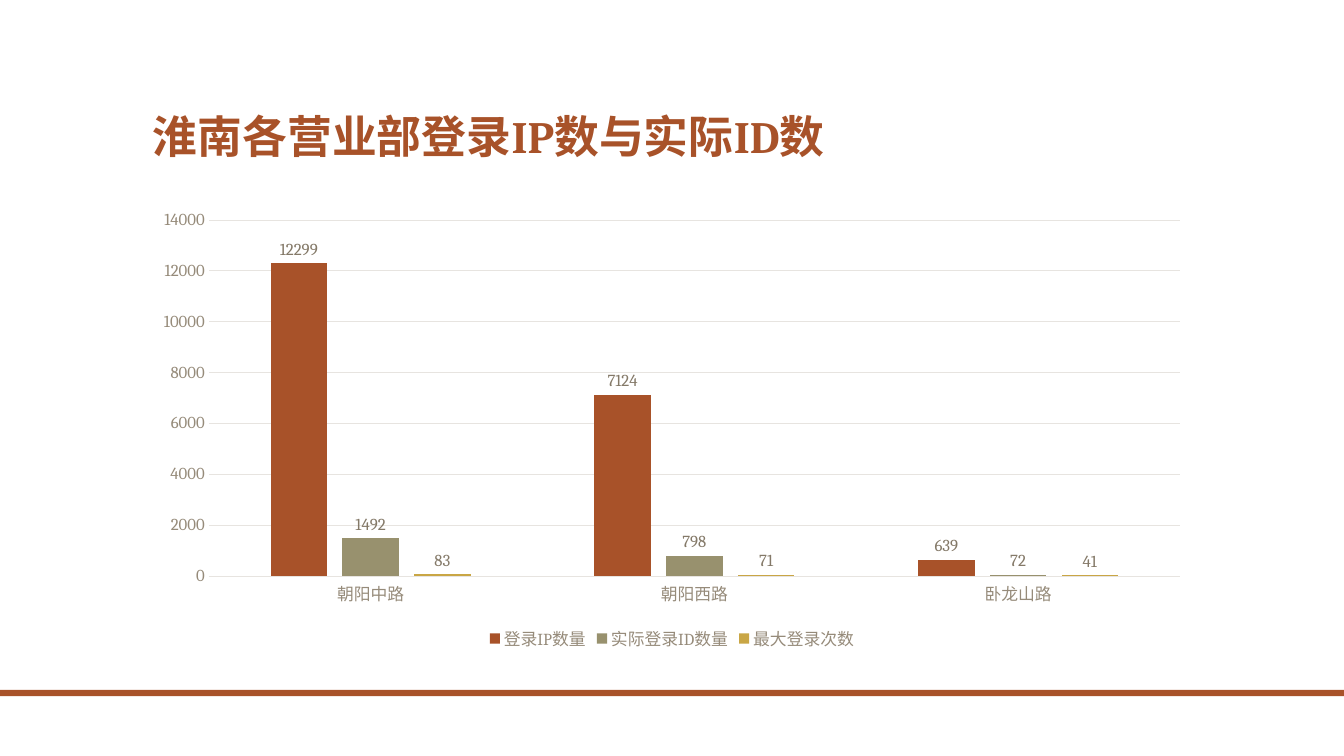
from dataclasses import dataclass

from pptx import Presentation
from pptx.chart.data import CategoryChartData
from pptx.dml.color import RGBColor
from pptx.enum.chart import XL_CHART_TYPE, XL_LABEL_POSITION, XL_LEGEND_POSITION, XL_TICK_MARK
from pptx.enum.shapes import MSO_SHAPE
from pptx.enum.text import MSO_ANCHOR, PP_ALIGN
from pptx.util import Emu, Pt

EMU_PER_PX = 9525  # 96 px to the inch
FONT = "Cambria"
RUST, OLIVE, GOLD = "A85229", "98916E", "C9A645"
AXIS_TEXT, LABEL_TEXT, CHART_TEXT, GRID = "968B7A", "847968", "514A40", "E7E4E0"


@dataclass(frozen=True)
class Box:
    left: int
    top: int
    width: int
    height: int

    def emu(self) -> tuple:
        return tuple(px(n) for n in (self.left, self.top, self.width, self.height))


@dataclass(frozen=True)
class Series:
    name: str
    values: tuple
    color: str


TITLE_BOX = Box(136, 40, 1008, 120)
CHART_BOX = Box(136, 192, 1008, 432)
FOOTER_BAR = Box(0, 657, 1280, 6)
BRANCHES = ("朝阳中路", "朝阳西路", "卧龙山路")
SERIES = (
    Series("登录IP数量", (12299, 7124, 639), RUST),
    Series("实际登录ID数量", (1492, 798, 72), OLIVE),
    Series("最大登录次数", (83, 71, 41), GOLD),
)


def px(length: int) -> Emu:
    return Emu(length * EMU_PER_PX)


def rgb(color: str) -> RGBColor:
    return RGBColor.from_string(color)


def set_font(font, *, size: int, color: str, bold: bool = False) -> None:
    font.name, font.size, font.bold = FONT, Pt(size), bold
    font.color.rgb = rgb(color)


def set_line(line, color: str, width: float = 0.75) -> None:
    line.color.rgb = rgb(color)
    line.width = Pt(width)


def write_text(shape, text: str, *, size: int, color: str, bold: bool = False,
               spacing: float = 1.0) -> None:
    frame = shape.text_frame
    frame.word_wrap = True
    frame.vertical_anchor = MSO_ANCHOR.BOTTOM
    paragraph = frame.paragraphs[0]
    paragraph.alignment = PP_ALIGN.LEFT
    paragraph.line_spacing = spacing
    run = paragraph.add_run()
    run.text = text
    set_font(run.font, size=size, color=color, bold=bold)


def add_bar(slide, box: Box, color: str) -> None:
    shape = slide.shapes.add_shape(MSO_SHAPE.RECTANGLE, *box.emu())
    shape.shadow.inherit = False
    shape.fill.solid()
    shape.fill.fore_color.rgb = rgb(color)
    shape.line.fill.background()


def add_login_chart(slide, box: Box) -> None:
    data = CategoryChartData()
    data.categories = BRANCHES
    for series in SERIES:
        data.add_series(series.name, series.values)
    chart = slide.shapes.add_chart(XL_CHART_TYPE.COLUMN_CLUSTERED, *box.emu(), data).chart
    chart.has_title = False
    set_font(chart.font, size=10, color=CHART_TEXT)

    # Axes and legend
    chart.has_legend = True
    chart.legend.position = XL_LEGEND_POSITION.BOTTOM
    chart.legend.include_in_layout = False
    set_font(chart.legend.font, size=12, color=AXIS_TEXT)
    for axis in (chart.category_axis, chart.value_axis):
        axis.major_tick_mark = axis.minor_tick_mark = XL_TICK_MARK.NONE
        set_font(axis.tick_labels.font, size=12, color=AXIS_TEXT)
    set_line(chart.category_axis.format.line, GRID)
    values = chart.value_axis
    values.minimum_scale, values.maximum_scale, values.major_unit = 0, 14000, 2000
    values.format.line.fill.background()
    values.has_major_gridlines = True
    set_line(values.major_gridlines.format.line, GRID)

    # Columns and their labels
    plot = chart.plots[0]
    plot.gap_width, plot.overlap, plot.vary_by_categories = 219, -27, False
    for column, series in zip(plot.series, SERIES):
        column.format.fill.solid()
        column.format.fill.fore_color.rgb = rgb(series.color)
        column.invert_if_negative = False
        labels = column.data_labels
        labels.show_value = True
        labels.position = XL_LABEL_POSITION.OUTSIDE_END
        set_font(labels.font, size=12, color=LABEL_TEXT)


def main() -> None:
    presentation = Presentation()
    presentation.slide_width, presentation.slide_height = px(1280), px(720)
    slide = presentation.slides.add_slide(presentation.slide_layouts[5])

    # Footer bar
    add_bar(slide, FOOTER_BAR, RUST)

    # Title
    title = slide.shapes.title
    title.left, title.top, title.width, title.height = TITLE_BOX.emu()
    write_text(title, "淮南各营业部登录IP数与实际ID数", size=32, color=RUST, bold=True, spacing=0.9)

    # Logins by branch
    add_login_chart(slide, CHART_BOX)
    presentation.save("out.pptx")


if __name__ == "__main__":
    main()
